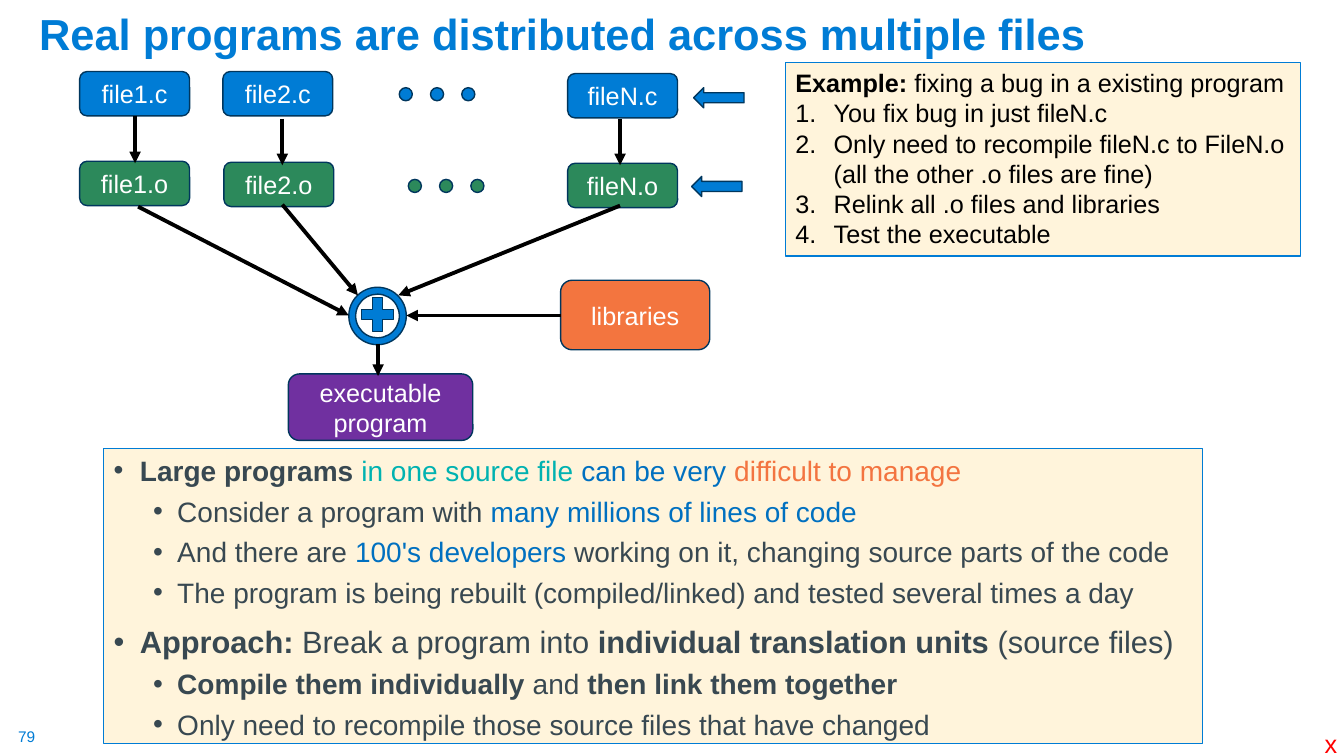
from dataclasses import dataclass

from lxml.etree import SubElement
from pptx import Presentation
from pptx.dml.color import RGBColor
from pptx.enum.shapes import MSO_CONNECTOR, MSO_SHAPE
from pptx.enum.text import MSO_ANCHOR, PP_ALIGN
from pptx.oxml.ns import qn
from pptx.util import Emu, Pt

PX = 9144  # 100 px to the inch

BLUE = RGBColor(0x00, 0x7C, 0xD5)
NAVY = RGBColor(0x00, 0x36, 0x5D)
GREEN = RGBColor(0x2C, 0x89, 0x5B)
CORAL = RGBColor(0xF3, 0x75, 0x3F)
PURPLE = RGBColor(0x70, 0x30, 0xA0)
CREAM = RGBColor(0xFF, 0xF4, 0xDB)
SLATE = RGBColor(0x38, 0x48, 0x51)
TEAL = RGBColor(0x00, 0xB2, 0xB1)
AZURE = RGBColor(0x00, 0x70, 0xC0)
ORANGE = RGBColor(0xF3, 0x74, 0x40)
BLACK = RGBColor(0, 0, 0)
WHITE = RGBColor(255, 255, 255)
RED = RGBColor(255, 0, 0)


@dataclass(frozen=True)
class Box:
    x: int
    y: int
    w: int
    h: int

    def emu(self) -> list[Emu]:
        return [Emu(n * PX) for n in (self.x, self.y, self.w, self.h)]


@dataclass(frozen=True)
class Node:
    text: str
    box: Box
    fill: RGBColor


@dataclass(frozen=True)
class Span:
    text: str
    color: RGBColor = SLATE
    bold: bool = False


@dataclass(frozen=True)
class Line:
    spans: tuple[Span, ...]
    size: int = 20
    left: int = 0
    hang: int = 0
    gap: int = 0
    mark: str = ""


@dataclass(frozen=True)
class Arrow:
    x1: int
    y1: int
    x2: int
    y2: int


def top(*spans: Span, size: int = 20) -> Line:
    return Line(spans, size, 26, 26, 10, "•")


def sub(*spans: Span) -> Line:
    return Line(spans, 20, 63, 24, 5, "•")


def step(text: str) -> Line:
    return Line((Span(text, BLACK),), 18, 38, 38, 0, "1.")


def add_mark(para, line: Line) -> None:
    """Give the paragraph a hanging bullet, or a number for the mark "1."."""
    props = para._p.get_or_add_pPr()
    props.set("marL", str(line.left * PX))
    props.set("indent", str(-line.hang * PX))
    SubElement(props, qn("a:buFont"), typeface="Arial")
    if line.mark == "1.":
        SubElement(props, qn("a:buAutoNum"), type="arabicPeriod")
    else:
        SubElement(props, qn("a:buChar"), char=line.mark)


def write(frame, lines: list[Line], align=PP_ALIGN.LEFT, anchor=MSO_ANCHOR.TOP, wrap: bool = True) -> None:
    frame.word_wrap = wrap
    frame.vertical_anchor = anchor
    for i, line in enumerate(lines):
        para = frame.add_paragraph() if i else frame.paragraphs[0]
        para.alignment = align
        para.space_before = Pt(line.gap)
        if line.mark:
            add_mark(para, line)
        for span in line.spans:
            run = para.add_run()
            run.text = span.text
            run.font.name = "Arial"
            run.font.size = Pt(line.size)
            run.font.bold = span.bold
            run.font.color.rgb = span.color


def draw_shape(slide, kind, box: Box, fill: RGBColor, edge: RGBColor = NAVY, width: float = 1):
    shape = slide.shapes.add_shape(kind, *box.emu())
    shape.shadow.inherit = False
    shape.fill.solid()
    shape.fill.fore_color.rgb = fill
    shape.line.color.rgb = edge
    shape.line.width = Pt(width)
    return shape


def draw_node(slide, node: Node) -> None:
    shape = draw_shape(slide, MSO_SHAPE.ROUNDED_RECTANGLE, node.box, node.fill)
    line = Line((Span(node.text, WHITE),), 18)
    write(shape.text_frame, [line], PP_ALIGN.CENTER, MSO_ANCHOR.MIDDLE)


def draw_panel(slide, box: Box, lines: list[Line]) -> None:
    panel = draw_shape(slide, MSO_SHAPE.RECTANGLE, box, CREAM, BLUE, 0.75)
    write(panel.text_frame, lines)


def draw_arrow(slide, arrow: Arrow) -> None:
    ends = [Emu(n * PX) for n in (arrow.x1, arrow.y1, arrow.x2, arrow.y2)]
    link = slide.shapes.add_connector(MSO_CONNECTOR.STRAIGHT, *ends)
    link.line.color.rgb = BLACK
    link.line.width = Pt(2.75)
    SubElement(link.line._get_or_add_ln(), qn("a:tailEnd"), type="triangle")
    SubElement(link._element.spPr, qn("a:effectLst"))


def draw_label(slide, box: Box, line: Line, wrap: bool = False):
    label = slide.shapes.add_textbox(*box.emu())
    write(label.text_frame, [line], wrap=wrap)
    return label.text_frame


NOTES = [
    top(Span("Large programs ", bold=True), Span("in one source file ", TEAL),
        Span("can be very ", AZURE), Span("difficult to manage", ORANGE)),
    sub(Span("Consider a program with"), Span(" many millions of lines of code", AZURE)),
    sub(Span("And there are "), Span("100's developers ", AZURE),
        Span("working on it, changing source parts of the code")),
    sub(Span("The program is being rebuilt (compiled/linked) and tested several times a day")),
    top(Span("Approach: ", bold=True), Span("Break a program into "),
        Span("individual translation units ", bold=True), Span("(source files)"), size=22),
    sub(Span("Compile them individually ", bold=True), Span("and "),
        Span("then link them together", bold=True)),
    sub(Span("Only need to recompile those source files that have changed")),
]
STEPS = [
    Line((Span("Example:", BLACK, True), Span(" fixing a bug in a existing program", BLACK)), 18),
    step("You fix bug in just fileN.c"),
    step("Only need to recompile fileN.c to FileN.o (all the other .o files are fine)"),
    step("Relink all .o files and libraries"),
    step("Test the executable"),
]
FILES = [
    ("file1.c", 79, 71, BLUE), ("file2.c", 221, 71, BLUE), ("fileN.c", 563, 73, BLUE),
    ("file1.o", 79, 160, GREEN), ("file2.o", 222, 161, GREEN), ("fileN.o", 563, 162, GREEN),
]
NODES = [Node(text, Box(x, y, 109, 44), fill) for text, x, y, fill in FILES] + [
    Node("libraries", Box(556, 278, 148, 69), CORAL),
    Node("executable program", Box(286, 371, 183, 66), PURPLE),
]
DOTS = [(396, 87, BLUE), (405, 178, GREEN)]
ARROWS = [
    Arrow(134, 115, 134, 162), Arrow(280, 118, 280, 164), Arrow(615, 118, 615, 164),
    Arrow(280, 203, 355, 293), Arrow(137, 205, 346, 313), Arrow(615, 204, 395, 293),
    Arrow(556, 313, 403, 313), Arrow(375, 341, 375, 373),
]


def main() -> None:
    deck = Presentation()
    deck.slide_width, deck.slide_height = Emu(1333 * PX), Emu(750 * PX)
    slide = deck.slides.add_slide(deck.slide_layouts[6])

    page = draw_label(slide, Box(18, 721, 19, 19), Line((Span("79", BLUE),), 11))
    page.margin_left = page.margin_right = page.margin_top = page.margin_bottom = 0
    draw_panel(slide, Box(103, 445, 1090, 293), NOTES)
    head = Line((Span("Real programs are distributed across multiple files", BLUE, True),), 31)
    title = draw_label(slide, Box(29, 25, 1210, 39), head, wrap=True)
    title.vertical_anchor = MSO_ANCHOR.BOTTOM
    title.paragraphs[0].line_spacing = 0.9
    draw_label(slide, Box(1304, 718, 33, 40), Line((Span("x", RED),), 18))

    for node in NODES:
        draw_node(slide, node)
    for x, y, fill in DOTS:
        for i in range(3):
            draw_shape(slide, MSO_SHAPE.OVAL, Box(x + 31 * i, y, 13, 13), fill)
    draw_shape(slide, MSO_SHAPE.MATH_PLUS, Box(353, 289, 43, 46), BLUE)
    ring = draw_shape(slide, MSO_SHAPE.DONUT, Box(346, 285, 57, 57), BLUE)
    ring.adjustments[0] = 0.12
    for arrow in ARROWS:
        draw_arrow(slide, arrow)

    draw_panel(slide, Box(779, 62, 511, 192), STEPS)
    for x, y in ((688, 87), (686, 175)):
        draw_shape(slide, MSO_SHAPE.LEFT_ARROW, Box(x, y, 50, 20), BLUE)
    deck.save("out.pptx")


if __name__ == "__main__":
    main()
